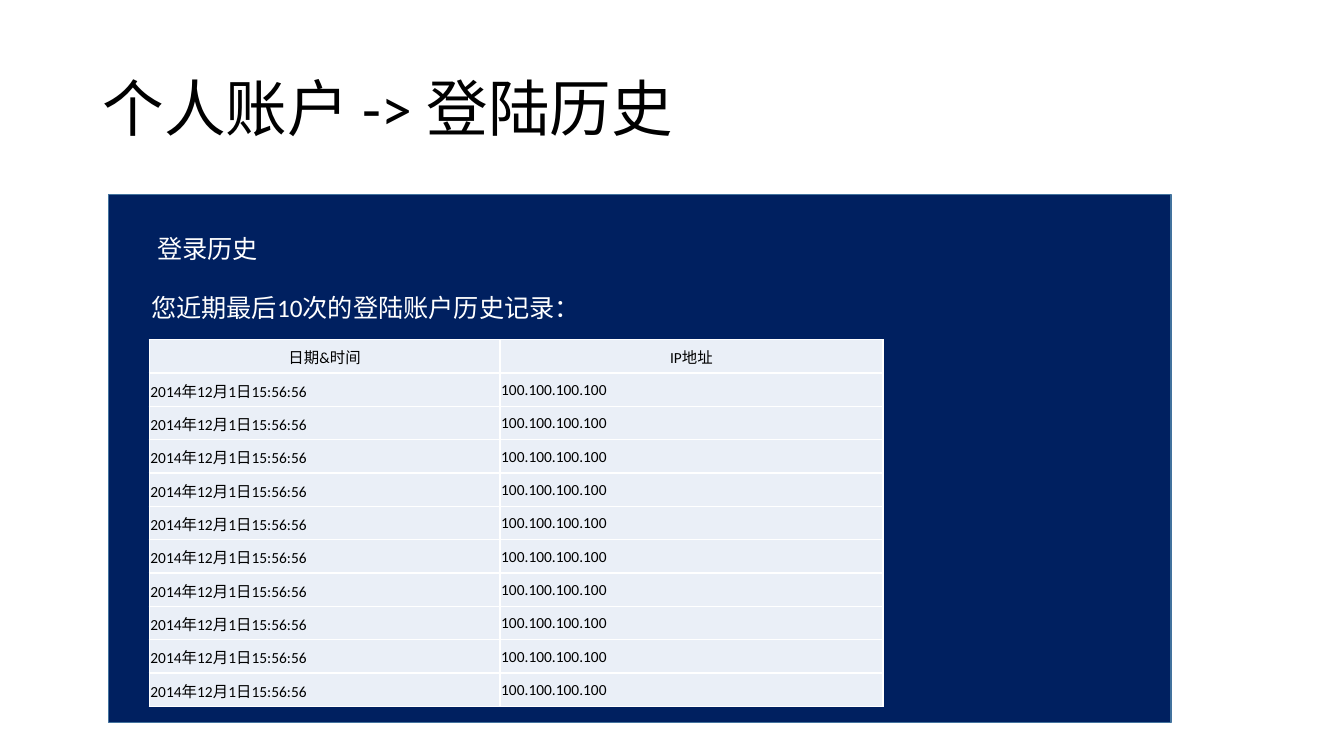
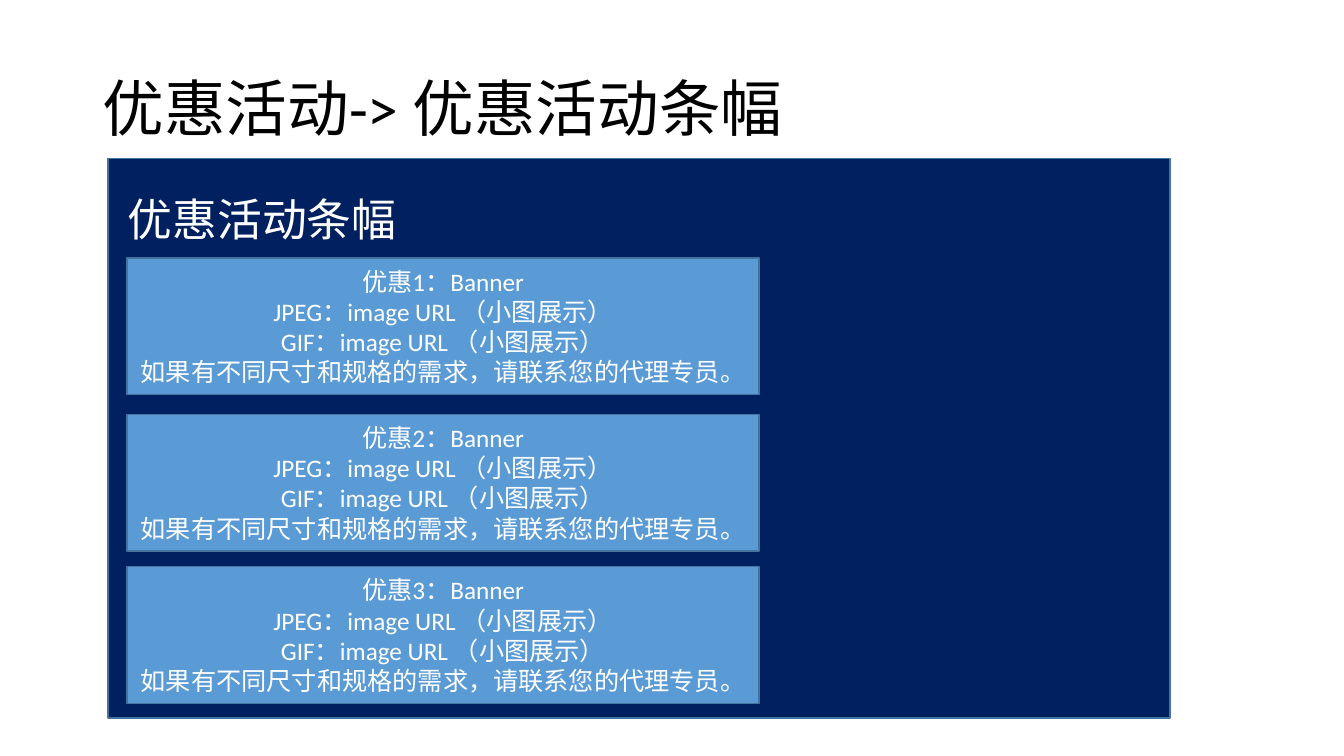
from lxml import etree
from pptx import Presentation
from pptx.dml.color import RGBColor
from pptx.enum.shapes import MSO_SHAPE
from pptx.enum.text import MSO_ANCHOR as ANCHOR, PP_ALIGN as ALIGN
from pptx.oxml import parse_xml
from pptx.oxml.ns import nsdecls
from pptx.util import Cm, Pt

FONT = "Calibri"
WHITE, BLACK = "FFFFFF", "000000"
NAVY, BLUE, OUTLINE, PALE = "002060", "5B9BD5", "43739E", "EAEFF7"
TITLES = ["个人账户 -> 登陆历史", "优惠活动-> 优惠活动条幅"]


def write(tf, lines, size, color, align=ALIGN.LEFT, **frame):
    """Fill a text frame, one paragraph a line; frame holds its attributes."""
    for name, value in frame.items():
        setattr(tf, name, value)
    tf.text = "\n".join(lines)
    for p in tf.paragraphs:
        p.alignment = align
        for r in p.runs:
            r.font.name, r.font.size = FONT, Pt(size)
            r.font.color.rgb = RGBColor.from_string(color)


def add_box(s, left, top, width, height, fill):
    sp = s.shapes.add_shape(MSO_SHAPE.RECTANGLE, Cm(left), Cm(top), Cm(width), Cm(height))
    sp.shadow.inherit = False
    sp.fill.solid()
    sp.fill.fore_color.rgb = RGBColor.from_string(fill)
    sp.line.color.rgb = RGBColor.from_string(OUTLINE)
    sp.line.width = Pt(1)
    return sp


prs = Presentation()
prs.slide_width, prs.slide_height = Cm(33.87), Cm(19.05)

for title in TITLES:
    s = prs.slides.add_slide(prs.slide_layouts[5])
    sp = s.shapes.title
    place = {"left": 2.33, "top": 0.97, "width": 29.21, "height": 3.68}
    for name, value in place.items():
        setattr(sp, name, Cm(value))
    write(sp.text_frame, [title], 44, BLACK, vertical_anchor=ANCHOR.MIDDLE, word_wrap=True)
    sp.text_frame.paragraphs[0].line_spacing = 0.9
history, banners = prs.slides

# Login history
panel = add_box(history, 2.74, 4.9, 26.77, 13.31, NAVY)
tf = panel.text_frame
write(tf, ["登录历史", "您近期最后10次的登陆账户历史记录："], 18, WHITE,
      vertical_anchor=ANCHOR.TOP, margin_left=Cm(1.07), margin_top=Cm(0.97))
heading, intro = tf.paragraphs
heading._p.get_or_add_pPr().set("marL", str(Cm(0.15)))
intro.space_before = Pt(21)

rows = [("日期&时间", "IP地址")] + [("2014年12月1日15:56:56", "100.100.100.100")] * 10
widths = [8.84, 9.65]
row_height = 0.84
table = history.shapes.add_table(len(rows), len(widths), Cm(3.76), Cm(8.56),
                                 Cm(sum(widths)), Cm(row_height * len(rows))).table
table.first_row = table.horz_banding = False
for column, width in zip(table.columns, widths):
    column.width = Cm(width)
for i, row in enumerate(rows):
    table.rows[i].height = Cm(row_height)
    for j, text in enumerate(row):
        cell = table.cell(i, j)
        cell_format = {"margin_left": Cm(0.03), "margin_right": Cm(0.03), "margin_top": Cm(0.03),
                       "margin_bottom": 0, "vertical_anchor": ANCHOR.MIDDLE}
        for name, value in cell_format.items():
            setattr(cell, name, value)
        write(cell.text_frame, [text], 11, BLACK, ALIGN.LEFT if i else ALIGN.CENTER)
        cell.fill.solid()
        cell.fill.fore_color.rgb = RGBColor.from_string(PALE)
        for k, side in enumerate(["lnL", "lnR", "lnT", "lnB"]):
            border = parse_xml(f'<a:{side} {nsdecls("a")} w="{Pt(1)}"/>')
            fill = etree.SubElement(border, border.tag.replace(side, "solidFill"))
            etree.SubElement(fill, border.tag.replace(side, "srgbClr"), val=WHITE)
            cell._tc.get_or_add_tcPr().insert(k, border)

# Promotion banners
panel = add_box(banners, 2.72, 3.99, 26.77, 14.1, NAVY)
write(panel.text_frame, ["优惠活动条幅"], 32, WHITE,
      vertical_anchor=ANCHOR.TOP, margin_left=Cm(0.5), margin_top=Cm(0.85))
for number, top in enumerate([6.5, 10.44, 14.28], 1):
    card = add_box(banners, 3.2, top, 15.93, 3.45, BLUE)
    lines = [f"优惠{number}：Banner", "JPEG：image URL （小图展示）", "GIF：image URL （小图展示）",
             "如果有不同尺寸和规格的需求，请联系您的代理专员。"]
    write(card.text_frame, lines, 18, WHITE, ALIGN.CENTER, vertical_anchor=ANCHOR.MIDDLE)

prs.save("out.pptx")
